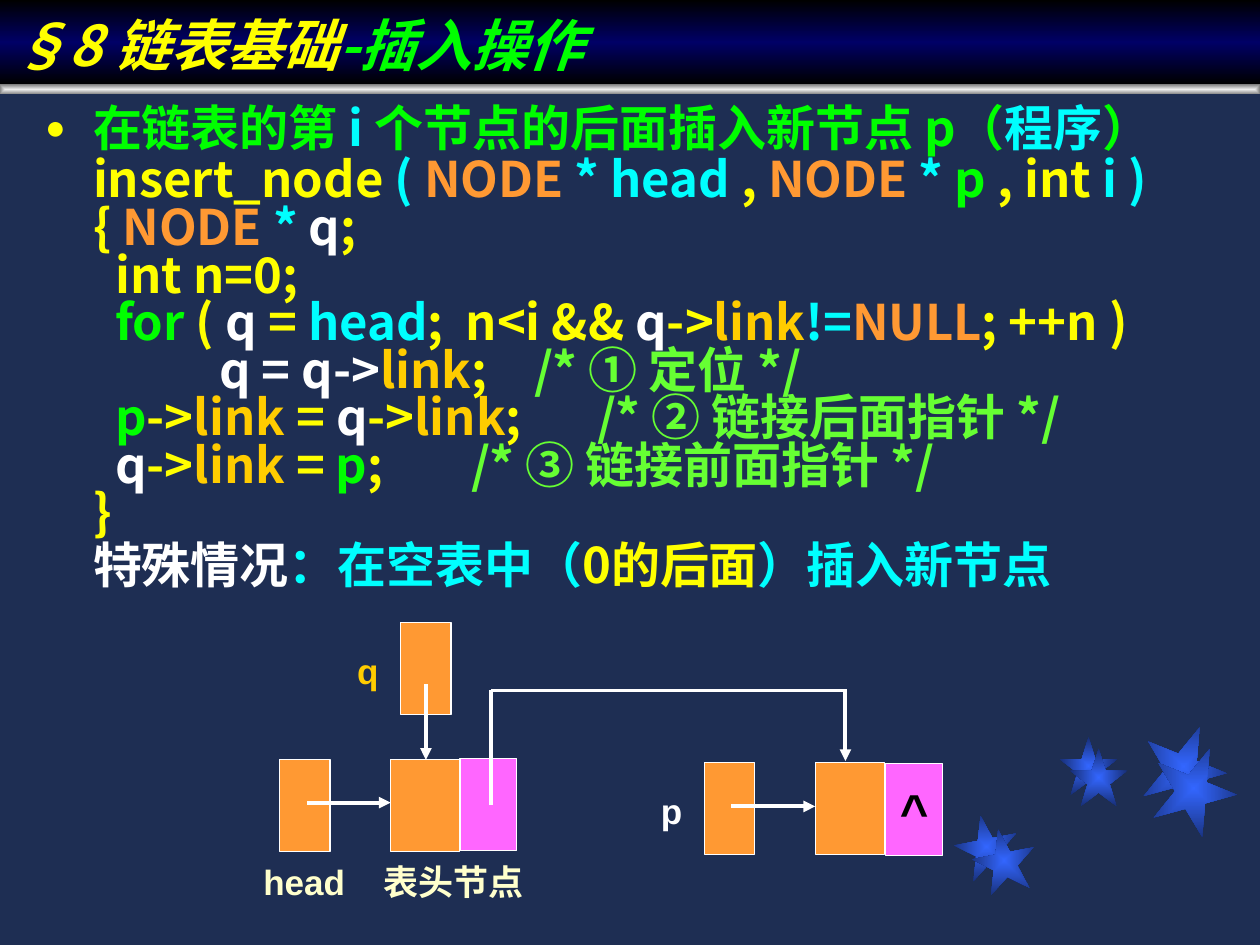
"""Build a slide on inserting a node into a linked list."""
from pptx import Presentation
from pptx import util as u
from pptx.dml import color
from pptx.enum import shapes, text
from pptx.oxml import parse_xml
from pptx.oxml import ns

YELLOW, CYAN, GREEN, WHITE = "FFFF00", "00FFFF", "00FF00", "FFFFFF"
ORANGE, GOLD, LIME, PINK, CREAM = "FF9933", "FFCC00", "66FF33", "FF66FF", "FFFFCC"
CJK_FONT = "Noto Sans CJK SC"
RECTANGLE = shapes.MSO_SHAPE.RECTANGLE
CENTRED = '<a:path path="rect"><a:fillToRect l="50000" t="50000" r="50000" b="50000"/></a:path>'
VERTICAL = '<a:lin ang="5400000" scaled="0"/>'


def rgb(value):
    return color.RGBColor.from_string(value)


def xml(tag, attributes="", content=""):
    return parse_xml(f'<a:{tag} {ns.nsdecls("a")} {attributes}>{content}</a:{tag}>')


presentation = Presentation()
presentation.slide_width, presentation.slide_height = u.Inches(10), u.Inches(7.5)
slide = presentation.slides.add_slide(presentation.slide_layouts[5])
slide.background.fill.solid()
slide.background.fill.fore_color.rgb = rgb("1E2E53")

title = slide.shapes.title
title.left, title.top, title.width, title.height = 0, 0, u.Inches(10), u.Inches(0.67)
gradients = [(title, ["000000", "000066", "000000"], VERTICAL)]

stars = [(7.58, 6.47, 0.5, -11), (8.41, 5.85, 0.46, 0), (9.06, 5.75, 0.67, 22),
         (7.72, 6.58, 0.5, -11), (8.49, 5.94, 0.46, 0), (9.14, 5.92, 0.67, 22)]
for left, top, size, rotation in stars:
    star = slide.shapes.add_shape(shapes.MSO_SHAPE.STAR_5_POINT, u.Inches(left), u.Inches(top),
                                  u.Inches(size), u.Inches(size))
    star.rotation = rotation
    gradients.append((star, ["3366FF", "182F76"], CENTRED))

bar = slide.shapes.add_shape(RECTANGLE, 0, u.Inches(0.67), u.Inches(10), u.Inches(0.08))
gradients.append((bar, ["EDEDED", "808080"], CENTRED))

for shape, colors, direction in gradients:
    stops = "".join(f'<a:gs pos="{100000 * index // (len(colors) - 1)}"><a:srgbClr val="{value}"/></a:gs>'
                    for index, value in enumerate(colors))
    shape._element.spPr.append(xml("gradFill", 'rotWithShape="1"', f"<a:gsLst>{stops}</a:gsLst>{direction}"))
    shape.line.fill.background()
    shape.shadow.inherit = False

title_frame = title.text_frame
title_frame.auto_size = text.MSO_AUTO_SIZE.NONE
title_frame.vertical_anchor = text.MSO_ANCHOR.BOTTOM
title_lines = [(1, [("§8 链表基础", YELLOW), ("-插入操作", GREEN)])]

code_box = slide.shapes.add_textbox(u.Inches(0.26), u.Inches(0.78), u.Inches(9.49), u.Inches(4.22))
code_box.text_frame.word_wrap = True
code_lines = [
    (0.9, [("在链表的第 ", GREEN), ("i ", CYAN), ("个节点的后面插入新节点 p（", GREEN),
           ("程序", CYAN), ("）", GREEN)]),
    (0.6, [("\tinsert_node ", YELLOW), ("( ", CYAN), ("NODE", ORANGE), (" * head ", CYAN),
           (", ", YELLOW), ("NODE", ORANGE), (" * ", CYAN), ("p ", GREEN),
           (", int ", YELLOW), ("i )", CYAN)]),
    (0.6, [("\t{ ", YELLOW), ("NODE", ORANGE), (" * ", CYAN), ("q", WHITE), (";", YELLOW)]),
    (0.6, [("\t  int n=0;", YELLOW)]),
    (0.6, [("\t  for ", GREEN), ("( ", YELLOW), ("q ", WHITE), ("= ", YELLOW), ("head", CYAN),
           (";  n<i && ", YELLOW), ("q", WHITE), ("->", YELLOW), ("link", GOLD), ("!=", CYAN),
           ("NULL", ORANGE), ("; ++n )", YELLOW)]),
    (0.6, [("\t\t\tq = q->", WHITE), ("link", GOLD), (";\t", YELLOW), ("/* ① 定位 */", LIME)]),
    (0.6, [("\t  p", GREEN), ("->", YELLOW), ("link", GOLD), (" = ", YELLOW), ("q", WHITE),
           ("->", YELLOW), ("link", GOLD), (";  \t", YELLOW), ("/* ② 链接后面指针 */", LIME)]),
    (0.6, [("\t  q", WHITE), ("->", YELLOW), ("link", GOLD), (" =", YELLOW), (" p", GREEN),
           (";\t\t", YELLOW), ("/* ③ 链接前面指针 */", LIME)]),
    (0.6, [("\t}", YELLOW)]),
    (0.7, [("\t特殊情况", WHITE), ("：在空表中（", CYAN), ("0的后面", YELLOW), ("）插入新节点", CYAN)]),
]

for frame, lines, size in [(title_frame, title_lines, 32), (code_box.text_frame, code_lines, 28)]:
    for index, (spacing, runs) in enumerate(lines):
        paragraph = frame.add_paragraph() if index else frame.paragraphs[0]
        paragraph.alignment = text.PP_ALIGN.LEFT
        paragraph.line_spacing = spacing
        paragraph.space_before = u.Pt(7 if index else 0)
        if frame is not title_frame:
            properties = paragraph._p.get_or_add_pPr()
            properties.set("marL", str(u.Inches(0.38)))
            properties.set("indent", str(u.Inches(-0.38)))
            if index == 0:
                properties.append(xml("buClr", content=f'<a:srgbClr val="{YELLOW}"/>'))
                properties.append(xml("buSzPct", 'val="70000"'))
                properties.append(xml("buFont", 'typeface="Arial"'))
                properties.append(xml("buChar", 'char="●"'))
            tabs = "".join(f'<a:tab pos="{u.Inches(stop)}" algn="l"/>' for stop in range(1, 8))
            properties.append(xml("tabLst", content=tabs))
        for words, value in runs:
            run = paragraph.add_run()
            run.text = words
            run.font.name, run.font.size, run.font.bold = CJK_FONT, u.Pt(size), True
            run.font.italic = frame is title_frame
            run.font.color.rgb = rgb(value)
            run.font._element.append(xml("ea", f'typeface="{CJK_FONT}"'))

cells = [(2.22, 6.03, 0.4, ORANGE), (3.1, 6.03, 0.55, ORANGE), (3.65, 6.02, 0.45, PINK),
         (5.59, 6.05, 0.4, ORANGE), (6.47, 6.05, 0.55, ORANGE), (7.03, 6.06, 0.45, PINK),
         (3.18, 4.94, 0.4, ORANGE)]
for left, top, width, value in cells:
    cell = slide.shapes.add_shape(RECTANGLE, u.Inches(left), u.Inches(top), u.Inches(width), u.Inches(0.73))
    cell.fill.solid()
    cell.fill.fore_color.rgb = rgb(value)
    cell.line.color.rgb = rgb(WHITE)
    cell.line.width = u.Pt(0.75)
    cell.shadow.inherit = False

labels = [("head", 2, 6.76, 0.83, 0.48, 20, CREAM), ("表头节点", 3, 6.76, 1.2, 0.48, 20, CREAM),
          ("p", 5.11, 6.19, 0.44, 0.48, 20, WHITE), ("q", 2.7, 5.08, 0.44, 0.48, 20, GOLD),
          ("^", 7.03, 6.06, 0.45, 0.73, 28, "000000")]
for words, left, top, width, height, size, value in labels:
    label = slide.shapes.add_textbox(u.Inches(left), u.Inches(top), u.Inches(width), u.Inches(height))
    label.text_frame.text = words
    label.text_frame.word_wrap = False
    label.text_frame.margin_left = label.text_frame.margin_right = 0
    label.text_frame.vertical_anchor = text.MSO_ANCHOR.MIDDLE
    paragraph = label.text_frame.paragraphs[0]
    paragraph.alignment = text.PP_ALIGN.CENTER
    font = paragraph.runs[0].font
    font.name, font.size, font.bold = "Arial", u.Pt(size), True
    font.color.rgb = rgb(value)
    font._element.append(xml("ea", f'typeface="{CJK_FONT}"'))

links = [(2.44, 6.37, 3.1, 6.37, True), (5.8, 6.4, 6.47, 6.4, True), (3.38, 5.43, 3.38, 6.03, True),
         (3.9, 6.39, 3.9, 5.48, False), (3.9, 5.48, 6.72, 5.48, False), (6.71, 5.48, 6.71, 6.04, True)]
for start_x, start_y, end_x, end_y, has_arrow in links:
    link = slide.shapes.add_connector(shapes.MSO_CONNECTOR.STRAIGHT, u.Inches(start_x), u.Inches(start_y),
                                      u.Inches(end_x), u.Inches(end_y))
    link.line.color.rgb = rgb(WHITE)
    link.line.width = u.Pt(2.25)
    if has_arrow:
        link.line._get_or_add_ln().append(xml("tailEnd", 'type="triangle"'))
    link._element.spPr.append(xml("effectLst"))

presentation.save("out.pptx")
